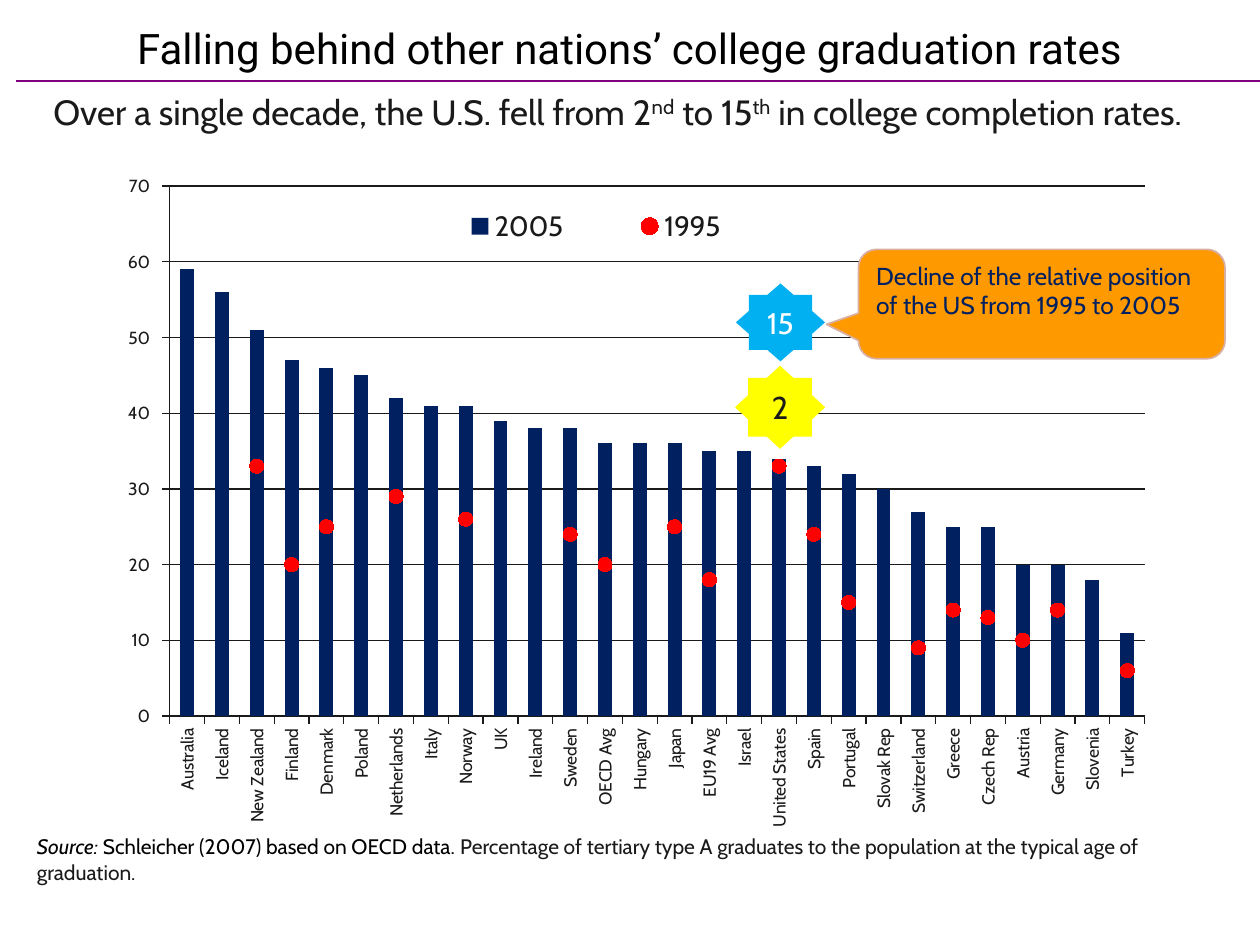
from lxml.etree import SubElement
from pptx import Presentation
from pptx.chart.data import CategoryChartData
from pptx.dml.color import RGBColor
from pptx.enum.chart import XL_CHART_TYPE, XL_LEGEND_POSITION, XL_MARKER_STYLE, XL_TICK_MARK
from pptx.enum.shapes import MSO_CONNECTOR, MSO_SHAPE
from pptx.enum.text import MSO_ANCHOR, MSO_AUTO_SIZE, PP_ALIGN
from pptx.oxml import parse_xml
from pptx.oxml.ns import nsdecls, qn
from pptx.util import Pt

BLACK = RGBColor(0x00, 0x00, 0x00)
INK = RGBColor(0x1A, 0x1A, 0x1A)
WHITE = RGBColor(0xFF, 0xFF, 0xFF)
NAVY = RGBColor(0x00, 0x20, 0x60)
RED = RGBColor(0xFF, 0x00, 0x00)
PURPLE = RGBColor(0x80, 0x00, 0x80)
BLUE = RGBColor(0x00, 0xB0, 0xF0)
YELLOW = RGBColor(0xFF, 0xFF, 0x00)
ORANGE = RGBColor(0xFF, 0x99, 0x00)
ROSE = RGBColor(0xD8, 0xAF, 0xA0)
BODY_FONT = "Cabin"
TITLE_FONT = "Roboto"

# Country, graduation rate in 2005, rate in 1995
RATES = [
    ("Australia", 59, None), ("Iceland", 56, None), ("New Zealand", 51, 33),
    ("Finland", 47, 20), ("Denmark", 46, 25), ("Poland", 45, None),
    ("Netherlands", 42, 29), ("Italy", 41, None), ("Norway", 41, 26),
    ("UK", 39, None), ("Ireland", 38, None), ("Sweden", 38, 24),
    ("OECD Avg", 36, 20), ("Hungary", 36, None), ("Japan", 36, 25),
    ("EU19 Avg", 35, 18), ("Israel", 35, None), ("United States", 34, 33),
    ("Spain", 33, 24), ("Portugal", 32, 15), ("Slovak Rep", 30, None),
    ("Switzerland", 27, 9), ("Greece", 25, 14), ("Czech Rep", 25, 13),
    ("Austria", 20, 10), ("Germany", 20, 14), ("Slovenia", 18, None),
    ("Turkey", 11, 6),
]


def style_font(font, size, color, name=BODY_FONT):
    font.name = name
    font.size = Pt(size)
    font.color.rgb = color


def add_title(page, text):
    title = page.shapes.title
    title.left, title.top, title.width, title.height = Pt(8), Pt(9.5), Pt(703.5), Pt(36)
    frame = title.text_frame
    frame.text = text
    frame.auto_size = MSO_AUTO_SIZE.NONE
    frame.vertical_anchor = MSO_ANCHOR.TOP
    paragraph = frame.paragraphs[0]
    paragraph.alignment = PP_ALIGN.CENTER
    style_font(paragraph.runs[0].font, 24, BLACK, TITLE_FONT)


def add_text(page, left, top, width, height, spans, size, align=PP_ALIGN.LEFT):
    """Add one paragraph; each span is (text, color, italic, raised)."""
    box = page.shapes.add_textbox(Pt(left), Pt(top), Pt(width), Pt(height))
    box.text_frame.word_wrap = True
    paragraph = box.text_frame.paragraphs[0]
    paragraph.alignment = align
    for text, color, italic, raised in spans:
        span = paragraph.add_run()
        span.text = text
        style_font(span.font, size, color)
        span.font.italic = italic
        if raised:
            span.font._element.set("baseline", "30000")


def add_rule(page, left, right, y):
    rule = page.shapes.add_connector(MSO_CONNECTOR.STRAIGHT, Pt(left), Pt(y), Pt(right), Pt(y))
    rule.line.color.rgb = PURPLE
    rule.line.width = Pt(1)
    SubElement(rule._element.spPr, qn("a:effectLst"))


def add_label_shape(page, kind, left, top, width, height, adjustments, fill, text, size, color):
    shape = page.shapes.add_shape(kind, Pt(left), Pt(top), Pt(width), Pt(height))
    shape.shadow.inherit = False
    for index, value in enumerate(adjustments):
        shape.adjustments[index] = value
    shape.fill.solid()
    shape.fill.fore_color.rgb = fill
    shape.line.fill.background()
    shape.text_frame.text = text
    shape.text_frame.word_wrap = True
    style_font(shape.text_frame.paragraphs[0].runs[0].font, size, color)
    return shape


def add_star(page, left, top, width, height, fill, text, size, color):
    star = add_label_shape(page, MSO_SHAPE.STAR_8_POINT, left, top, width, height,
                           [0.383], fill, text, size, color)
    star.text_frame.vertical_anchor = MSO_ANCHOR.MIDDLE
    star.text_frame.paragraphs[0].alignment = PP_ALIGN.CENTER


def add_callout(page, left, top, width, height, text):
    callout = add_label_shape(page, MSO_SHAPE.ROUNDED_RECTANGULAR_CALLOUT, left, top, width, height,
                              [-0.587, 0.186, 0.167], ORANGE, text, 14, NAVY)
    callout.line.color.rgb = ROSE
    callout.line.width = Pt(1)
    callout.text_frame.vertical_anchor = MSO_ANCHOR.TOP
    callout.text_frame.paragraphs[0].alignment = PP_ALIGN.LEFT


def layout_xml(x, y, width, height, inner=False):
    target = '<c:layoutTarget val="inner"/>' if inner else ""
    return parse_xml(
        f'<c:layout {nsdecls("c")}><c:manualLayout>{target}'
        '<c:xMode val="edge"/><c:yMode val="edge"/>'
        f'<c:x val="{x}"/><c:y val="{y}"/><c:w val="{width}"/><c:h val="{height}"/>'
        '</c:manualLayout></c:layout>')


def move_last_series_to_line(chart):
    """Turn the last column series into a line plot on the same axes."""
    bar_plot = chart.plots[0]._element
    series = bar_plot.findall(qn("c:ser"))[-1]
    for element in series.findall(qn("c:invertIfNegative")):
        series.remove(element)
    line_plot = parse_xml(
        f'<c:lineChart {nsdecls("c")}><c:grouping val="standard"/>'
        '<c:varyColors val="0"/><c:marker val="1"/></c:lineChart>')
    line_plot.insert(2, series)
    for axis_id in bar_plot.findall(qn("c:axId")):
        SubElement(line_plot, qn("c:axId")).set("val", axis_id.get("val"))
    bar_plot.addnext(line_plot)


def style_axis(axis):
    style_font(axis.tick_labels.font, 10, INK)
    axis.major_tick_mark = XL_TICK_MARK.OUTSIDE
    axis.minor_tick_mark = XL_TICK_MARK.NONE
    axis.format.line.color.rgb = INK
    axis.format.line.width = Pt(0.75)


def add_rates_chart(page, left, top, width, height):
    countries, rates_2005, rates_1995 = zip(*RATES)
    data = CategoryChartData()
    data.categories = countries
    data.add_series("2005", rates_2005)
    data.add_series("1995", rates_1995)
    chart = page.shapes.add_chart(XL_CHART_TYPE.COLUMN_CLUSTERED, Pt(left), Pt(top),
                                  Pt(width), Pt(height), data).chart
    chart.has_title = False
    style_font(chart.font, 12, INK)

    # Columns for 2005, loose markers for 1995
    move_last_series_to_line(chart)
    columns, dots = chart.plots
    columns.vary_by_categories = False
    columns.gap_width = 150
    columns.series[0].format.fill.solid()
    columns.series[0].format.fill.fore_color.rgb = NAVY
    dot_series = dots.series[0]
    dot_series.smooth = False
    dot_series.format.line.fill.background()
    marker = dot_series.marker
    marker.style = XL_MARKER_STYLE.CIRCLE
    marker.size = 8
    marker.format.fill.solid()
    marker.format.fill.fore_color.rgb = RED
    marker.format.line.color.rgb = RED

    # Axes
    style_axis(chart.category_axis)
    chart.category_axis._element.txPr.find(qn("a:bodyPr")).set("rot", "-5400000")
    value_axis = chart.value_axis
    style_axis(value_axis)
    value_axis.minimum_scale, value_axis.maximum_scale, value_axis.major_unit = 0, 70, 10
    value_axis.tick_labels.number_format = r'[=0]0\ \ ;[<0.05]\ \ "n.  ";0\ \ ;@\ \ '
    value_axis.tick_labels.number_format_is_linked = False
    value_axis.major_gridlines.format.line.color.rgb = INK
    value_axis.major_gridlines.format.line.width = Pt(0.75)

    # Legend and plot positions
    chart.has_legend = True
    chart.legend.position = XL_LEGEND_POSITION.RIGHT
    chart.legend.include_in_layout = True
    style_font(chart.legend.font, 16, INK)
    chart.legend._element.find(qn("c:legendPos")).addnext(layout_xml(0.29, 0.03, 0.37, 0.08))
    plot_area = chart._chartSpace.chart.plotArea
    for element in plot_area.findall(qn("c:layout")):
        plot_area.remove(element)
    plot_area.insert(0, layout_xml(0.067, 0.016, 0.933, 0.712, inner=True))


def main():
    deck = Presentation()
    deck.slide_width, deck.slide_height = Pt(720), Pt(540)
    page = deck.slides.add_slide(deck.slide_layouts[5])

    # Heading
    add_title(page, "Falling behind other nations’ college graduation rates")
    add_rule(page, 9, 720, 46.5)
    add_text(page, 6.5, 48, 697.5, 75, [
        ("Over a single decade, the U.S. fell from 2", INK, False, False),
        ("nd", INK, False, True),
        (" to 15", INK, False, False),
        ("th", INK, False, True),
        (" in college completion rates. ", INK, False, False),
    ], 20, PP_ALIGN.CENTER)

    # Chart with its annotations
    add_rates_chart(page, 57, 99.5, 597.5, 425.5)
    add_star(page, 420.5, 162, 51, 44.5, BLUE, "15", 17, WHITE)
    add_star(page, 420, 209, 51.5, 47.5, YELLOW, "2", 18, INK)
    add_callout(page, 490.5, 142.5, 209.5, 62.5,
                "Decline of the relative position of the US from 1995 to 2005")

    # Source line
    add_text(page, 14, 473, 702, 57.5, [
        ("Source:", BLACK, True, False),
        (" Schleicher (2007) based on OECD data. ", BLACK, False, False),
        ("Percentage of tertiary type A graduates to the population at the typical age of graduation.",
         INK, False, False),
    ], 12)

    deck.save("out.pptx")


if __name__ == "__main__":
    main()
